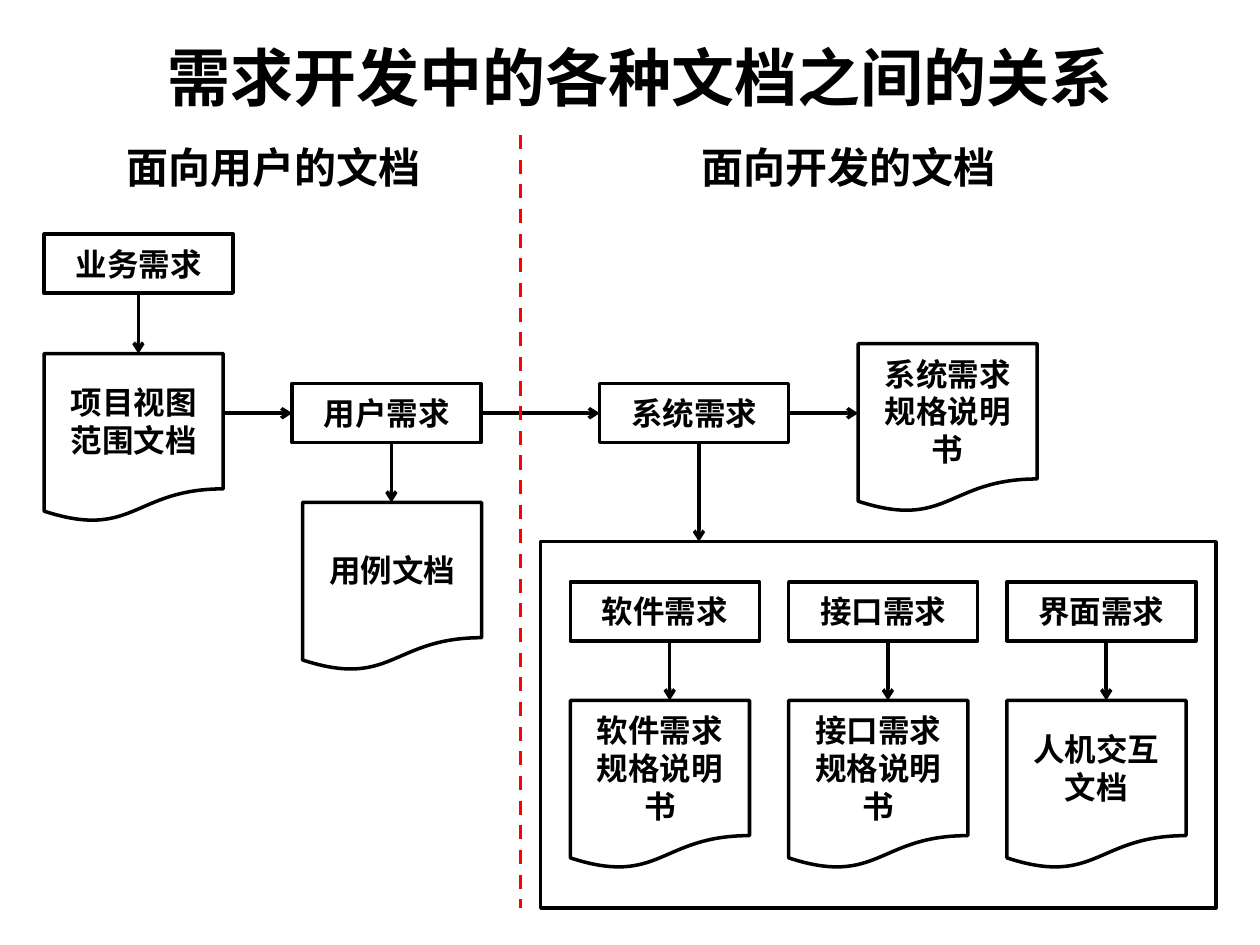
from pptx import Presentation
from pptx import util as u
from pptx.dml.color import RGBColor
from pptx.enum import dml, shapes, text
from pptx.oxml.ns import qn
from lxml import etree

BLACK, RED = "000000", "FF0000"
BOX = (3.81, 1.19)
DOCUMENT = (3.61, 3.4)
DROP = 2.0  # distance from a box's left edge to its downward arrow


def color(value):
    """Turn a hex string into a colour."""
    return RGBColor.from_string(value)


def write(frame, content, size, align=text.PP_ALIGN.CENTER):
    """Fill a text frame with bold black paragraphs, one for each line."""
    frame.text = content
    font_format = {"name": "Calibri", "size": u.Pt(size), "bold": True}
    for paragraph in frame.paragraphs:
        paragraph.alignment = align
        for run in paragraph.runs:
            for key, value in font_format.items():
                setattr(run.font, key, value)
            run.font.color.rgb = color(BLACK)


def add_title(slide, content):
    """Place and format the title placeholder."""
    title = slide.shapes.title
    place = {"left": 2.11, "top": 0.53, "width": 21.59, "height": 2.01}
    for key, value in place.items():
        setattr(title, key, u.Cm(value))
    title.text_frame.vertical_anchor = text.MSO_ANCHOR.MIDDLE
    write(title.text_frame, content, 36)


def add_heading(slide, left, content):
    """Add the heading of one half of the slide."""
    heading = slide.shapes.add_textbox(u.Cm(left), u.Cm(2.72), u.Cm(6.5), u.Cm(1.27))
    heading.text_frame.word_wrap = False
    heading.text_frame.auto_size = text.MSO_AUTO_SIZE.SHAPE_TO_FIT_TEXT
    write(heading.text_frame, content, 24, text.PP_ALIGN.LEFT)


def add_outline(slide, kind, left, top, size, content=""):
    """Add an unfilled outlined shape, with text if given."""
    outline = slide.shapes.add_shape(kind, *map(u.Cm, (left, top, *size)))
    outline.shadow.inherit = False
    outline.fill.background()
    outline.line.color.rgb = color(BLACK)
    outline.line.width = u.Pt(2)
    if content:
        outline.text_frame.word_wrap = True
        outline.text_frame.vertical_anchor = text.MSO_ANCHOR.MIDDLE
        write(outline.text_frame, content, 18)


def add_box(slide, left, top, content):
    """Add a requirement box."""
    add_outline(slide, shapes.MSO_SHAPE.RECTANGLE, left, top, BOX, content)


def add_document(slide, left, top, content):
    """Add a document symbol."""
    add_outline(slide, shapes.MSO_SHAPE.FLOWCHART_DOCUMENT, left, top, DOCUMENT, content)


def add_line(slide, start, end, line_color=BLACK):
    """Add a straight line without a shadow."""
    line = slide.shapes.add_connector(
        shapes.MSO_CONNECTOR.STRAIGHT, *map(u.Cm, (*start, *end)))
    line.line.color.rgb = color(line_color)
    line.line.width = u.Pt(2)
    etree.SubElement(line._element.spPr, qn("a:effectLst"))
    return line


def add_arrow(slide, start, end):
    """Add a line with an open arrowhead at its end."""
    arrow = add_line(slide, start, end)
    etree.SubElement(arrow.line._get_or_add_ln(), qn("a:tailEnd"), type="arrow")


def add_user_side(slide):
    """Draw the documents meant for users."""
    add_heading(slide, 2.31, "面向用户的文档")
    add_box(slide, 0.89, 4.72, "业务需求")
    add_document(slide, 0.89, 7.13, "项目视图\n范围文档")
    add_box(slide, 5.89, 7.73, "用户需求")
    add_document(slide, 6.1, 10.13, "用例文档")
    add_arrow(slide, (2.79, 5.91), (2.79, 7.13))
    add_arrow(slide, (5.89 + DROP, 8.92), (5.89 + DROP, 10.13))


def add_development_side(slide):
    """Draw the documents meant for development."""
    add_heading(slide, 13.89, "面向开发的文档")
    add_box(slide, 12.09, 7.73, "系统需求")
    add_document(slide, 17.3, 6.93, "系统需求规格说明书")
    add_arrow(slide, (12.09 + DROP, 8.92), (12.09 + DROP, 10.92))
    add_outline(slide, shapes.MSO_SHAPE.RECTANGLE, 10.9, 10.92, (13.61, 7.39))
    details = [("软件需求", "软件需求规格说明书"),
               ("接口需求", "接口需求规格说明书"),
               ("界面需求", "人机交互文档")]
    for column, (requirement, document) in enumerate(details):
        left = 11.5 + column * 4.4
        add_box(slide, left, 11.73, requirement)
        add_document(slide, left, 14.12, document)
        add_arrow(slide, (left + DROP, 12.92), (left + DROP, 14.12))


def main():
    """Build the slide and save it."""
    deck = Presentation()
    deck.slide_width, deck.slide_height = u.Cm(25.4), u.Cm(19.05)
    slide = deck.slides.add_slide(deck.slide_layouts[5])
    add_title(slide, "需求开发中的各种文档之间的关系")
    add_user_side(slide)
    add_development_side(slide)
    for start, end in [(4.5, 5.89), (9.7, 12.09), (15.9, 17.3)]:
        add_arrow(slide, (start, 8.33), (end, 8.33))
    divider = add_line(slide, (10.49, 2.72), (10.49, 18.31), RED)
    divider.line.dash_style = dml.MSO_LINE.DASH
    deck.save("out.pptx")


main()
